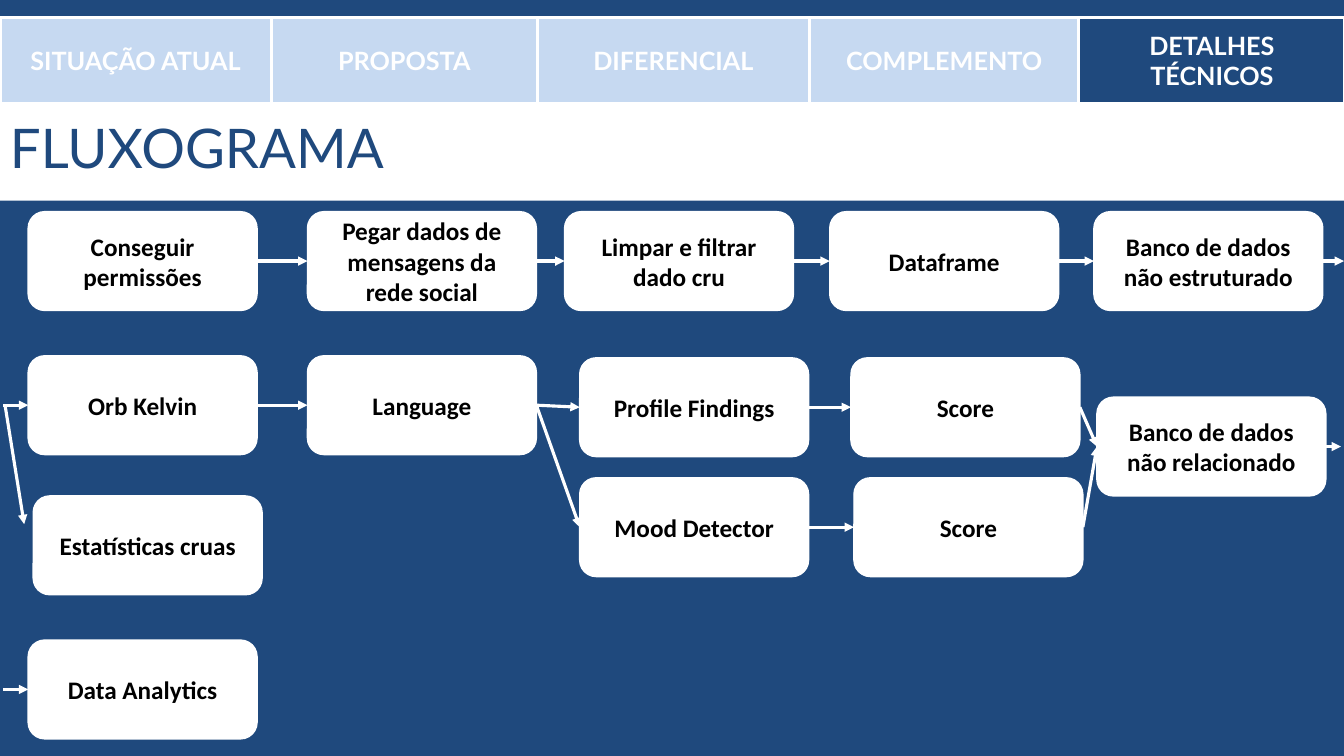
"""Builds the flowchart slide with its section tabs."""
import pptx
import pptx.util
import pptx.dml.color
import pptx.enum.shapes
import pptx.enum.text
import pptx.oxml.ns
import lxml.etree

Inches, Pt = pptx.util.Inches, pptx.util.Pt
SHAPE = pptx.enum.shapes.MSO_SHAPE
ALIGN = pptx.enum.text.PP_ALIGN
NAVY, PALE, WHITE, BLACK = "1F497D", "C6D9F1", "FFFFFF", "000000"
SLIDE_W, SLIDE_H = 13.33, 7.5

TITLE = "FLUXOGRAMA"
TABS = [
    ("SITUAÇÃO ATUAL", 2.69, PALE),
    ("PROPOSTA", 2.64, PALE),
    ("DIFERENCIAL", 2.7, PALE),
    ("COMPLEMENTO", 2.67, PALE),
    ("DETALHES TÉCNICOS", 2.64, NAVY),
]
TAB_TOP, TAB_H = 0.17, 0.86

BOX_W, BOX_H = 2.27, 0.98
STEPS = {
    "permissions": ("Conseguir permissões", 0.28, 2.1),
    "messages": ("Pegar dados de mensagens da rede social", 3.05, 2.1),
    "cleaning": ("Limpar e filtrar dado cru", 5.6, 2.1),
    "dataframe": ("Dataframe", 8.23, 2.1),
    "raw_db": ("Banco de dados não estruturado", 10.85, 2.1),
    "assistant": ("Orb Kelvin", 0.28, 3.53),
    "language": ("Language", 3.05, 3.53),
    "profile": ("Profile Findings", 5.75, 3.55),
    "mood": ("Mood Detector", 5.75, 4.74),
    "profile_score": ("Score", 8.44, 3.55),
    "mood_score": ("Score", 8.47, 4.74),
    "score_db": ("Banco de dados não relacionado", 10.88, 3.94),
    "statistics": ("Estatísticas cruas", 0.33, 4.92),
    "analytics": ("Data Analytics", 0.28, 6.35),
}
ARROWS = [
    ("permissions", "messages"),
    ("messages", "cleaning"),
    ("cleaning", "dataframe"),
    ("dataframe", "raw_db"),
    ("assistant", "language"),
    ("language", "profile"),
    ("language", "mood"),
    ("profile", "profile_score"),
    ("mood", "mood_score"),
    ("profile_score", "score_db"),
    ("mood_score", "score_db"),
    ("raw_db", (13.33, 2.59)),
    ("score_db", (13.3, 4.43)),
    ((0.03, 4.02), "assistant"),
    ((0.03, 6.84), "analytics"),
    ((0.05, 4.02), (0.24, 5.2)),
]


def rgb(value):
    return pptx.dml.color.RGBColor.from_string(value)


def write(sp, text, font, size, color, bold=False, align=ALIGN.CENTER):
    tf = sp.text_frame
    tf.word_wrap = True
    tf.vertical_anchor = pptx.enum.text.MSO_ANCHOR.MIDDLE
    tf.text = text
    p = tf.paragraphs[0]
    p.alignment = align
    f = p.runs[0].font
    f.name, f.size, f.bold = font, Pt(size), bold
    f.color.rgb = rgb(color)
    return p


def add_block(s, kind, x, y, w, h, fill, line_width=0):
    sp = s.shapes.add_shape(kind, Inches(x), Inches(y), Inches(w), Inches(h))
    sp.shadow.inherit = False
    sp.fill.solid()
    sp.fill.fore_color.rgb = rgb(fill)
    if line_width:
        sp.line.color.rgb = rgb(WHITE)
        sp.line.width = Pt(line_width)
    else:
        sp.line.fill.background()
    return sp


def end_point(end, side):
    if isinstance(end, tuple):
        return end
    _, x, y = STEPS[end]
    return x + (BOX_W if side == 3 else 0), y + BOX_H / 2


def add_arrow(s, boxes, start, end):
    x1, y1 = end_point(start, 3)
    x2, y2 = end_point(end, 1)
    c = s.shapes.add_connector(pptx.enum.shapes.MSO_CONNECTOR.STRAIGHT,
                               Inches(x1), Inches(y1), Inches(x2), Inches(y2))
    if start in boxes:
        c.begin_connect(boxes[start], 3)
    if end in boxes:
        c.end_connect(boxes[end], 1)
    c.line.color.rgb = rgb(WHITE)
    c.line.width = Pt(2.25)
    qn = pptx.oxml.ns.qn
    lxml.etree.SubElement(c.line._get_or_add_ln(), qn("a:tailEnd"), type="triangle")
    lxml.etree.SubElement(c._element.spPr, qn("a:effectLst"))


def main():
    prs = pptx.Presentation()
    prs.slide_width, prs.slide_height = Inches(SLIDE_W), Inches(SLIDE_H)
    s = prs.slides.add_slide(prs.slide_layouts[6])
    s.background.fill.solid()
    s.background.fill.fore_color.rgb = rgb(NAVY)

    add_block(s, SHAPE.RECTANGLE, 0, 0.19, SLIDE_W, 1.8, WHITE)
    x = 0
    for label, width, fill in TABS:
        tab = add_block(s, SHAPE.RECTANGLE, x, TAB_TOP, width, TAB_H, fill, 2.25)
        write(tab, label, "Lato", 18, WHITE, bold=True)
        x += width

    title = s.shapes.add_textbox(Inches(0), Inches(1.12), Inches(10.08), Inches(0.77))
    p = write(title, TITLE, "Lato", 39, NAVY, align=ALIGN.LEFT)
    p.line_spacing = 0.85

    boxes = {}
    for name, (label, x, y) in STEPS.items():
        boxes[name] = add_block(s, SHAPE.ROUNDED_RECTANGLE, x, y, BOX_W, BOX_H, WHITE, 1)
        write(boxes[name], label, "Calibri", 18, BLACK, bold=True)
    for start, end in ARROWS:
        add_arrow(s, boxes, start, end)

    prs.save("out.pptx")


if __name__ == "__main__":
    main()
